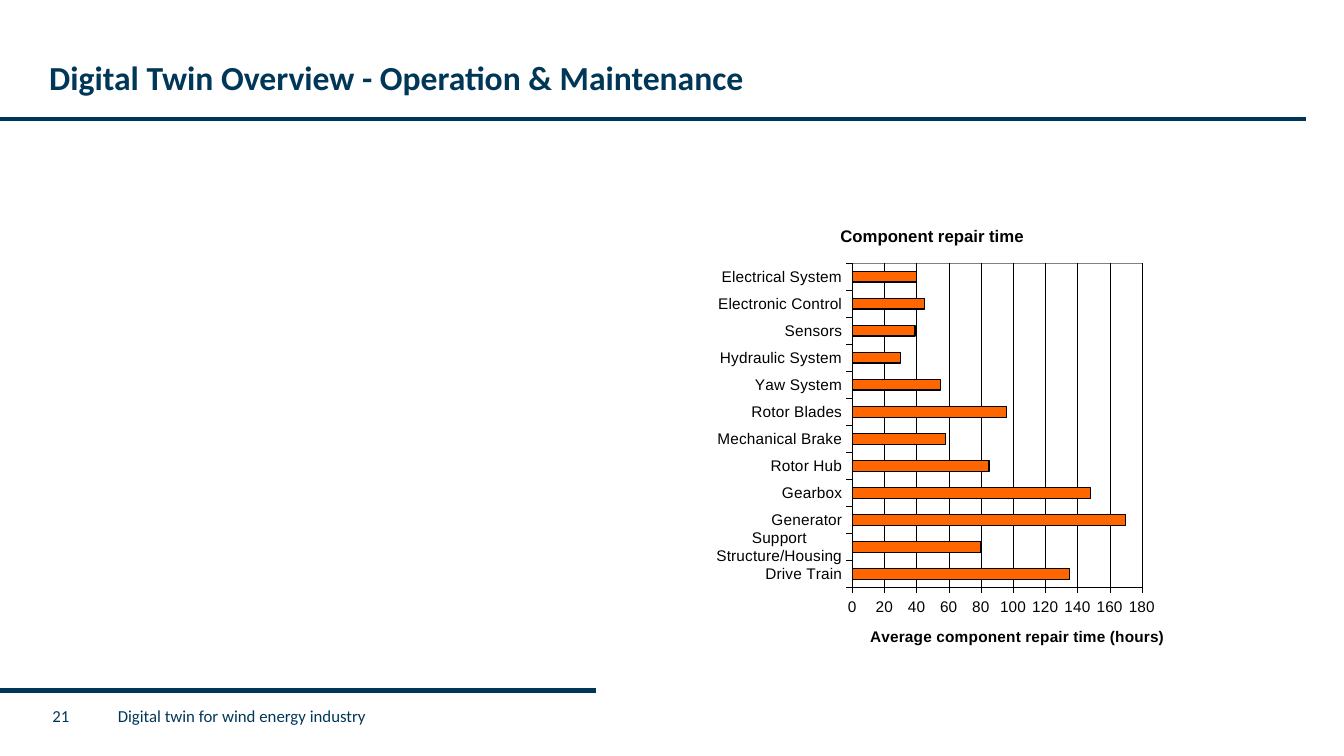
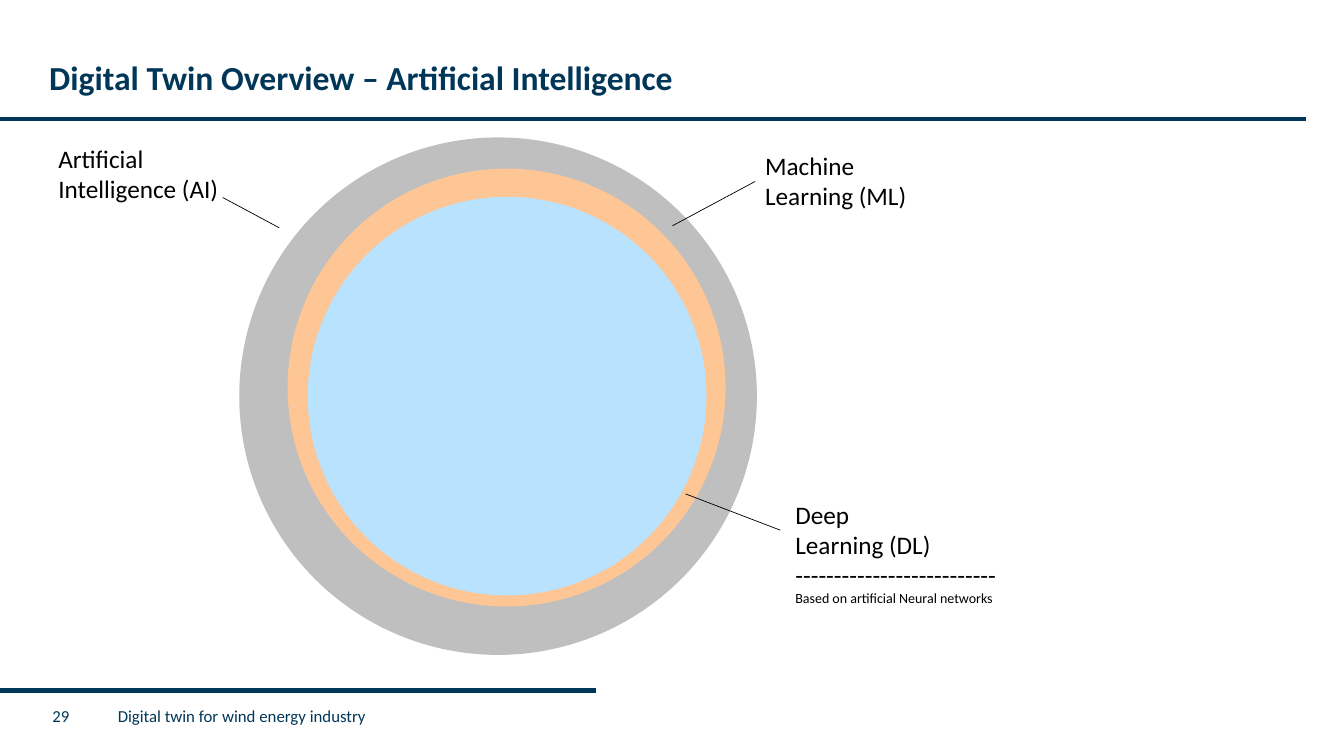
from lxml import etree
from pptx import Presentation
from pptx.chart.data import CategoryChartData
from pptx.dml.color import RGBColor
from pptx.enum.chart import XL_CHART_TYPE, XL_TICK_MARK
from pptx.enum.shapes import MSO_CONNECTOR, MSO_SHAPE
from pptx.enum.text import MSO_ANCHOR
from pptx.oxml import parse_xml
from pptx.oxml.ns import nsdecls, qn
from pptx.util import Inches, Pt

# Shared style
NAVY, BLACK, WHITE = "003759", "000000", "FFFFFF"
FOOTER = "Digital twin for wind energy industry"
RULES = [(5.91, 6.85), (12.95, 1.18)]  # right end, height

# Slide 1: component and repair hours, bottom to top
REPAIR = [
    ("Drive Train", 135), ("Support Structure/Housing", 80),
    ("Generator", 170), ("Gearbox", 148), ("Rotor Hub", 85),
    ("Mechanical Brake", 58), ("Rotor Blades", 96), ("Yaw System", 55),
    ("Hydraulic System", 30), ("Sensors", 39),
    ("Electronic Control", 45), ("Electrical System", 40),
]

# Slide 2: nested discs (left, top, diameter, colour)
DISCS = [
    (2.38, 1.37, 5.12, "BFBFBF"),
    (2.86, 1.68, 4.33, "FEC695"),
    (3.06, 1.96, 3.94, "B9E2FF"),
]
# Labels: box, then lines of (text, size)
LABELS = [
    ((0.48, 1.37, 1.81, 0.71), [("Artificial", 18), ("Intelligence (AI)", 18)]),
    ((7.49, 1.44, 1.62, 0.71), [("Machine", 18), ("Learning (ML)", 18)]),
    ((7.79, 4.9, 2.19, 1.18), [("Deep", 18), ("Learning (DL)", 18), ("-" * 26, 18),
                               ("Based on artificial Neural networks", 10)]),
]
LEADERS = [
    (6.67, 2.24, 7.49, 1.8),
    (6.8, 4.9, 7.74, 5.26),
    (2.21, 1.96, 2.77, 2.26),
]


def rgb(code):
    return RGBColor.from_string(code)


def style(font, size, color, bold=False, name="Calibri"):
    font.size, font.bold, font.name = Pt(size), bold, name
    font.color.rgb = rgb(color)


def stroke(line, color, width):
    line.color.rgb = rgb(color)
    line.width = Pt(width)


def add_line(slide, ends, color, width):
    line = slide.shapes.add_connector(
        MSO_CONNECTOR.STRAIGHT, *[Inches(v) for v in ends])
    stroke(line.line, color, width)
    etree.SubElement(line._element.spPr, qn("a:effectLst"))


def add_text(slide, box, lines, color, bold=False, wrap=True):
    frame = slide.shapes.add_textbox(*[Inches(v) for v in box]).text_frame
    frame.word_wrap = wrap
    frame.text = "\n".join(text for text, size in lines)
    for para, (text, size) in zip(frame.paragraphs, lines):
        style(para.runs[0].font, size, color, bold)
    return frame


def add_slide(deck, title, number):
    slide = deck.slides.add_slide(deck.slide_layouts[6])
    for right, y in RULES:
        add_line(slide, (0, y, right, y), NAVY, 3)
    frame = add_text(slide, (0.39, 0.4, 10.6, 0.77), [(title, 24)], NAVY, True)
    frame.vertical_anchor = MSO_ANCHOR.MIDDLE
    frame.paragraphs[0].line_spacing = 0.9
    add_text(slide, (1.07, 6.95, 4.79, 0.4), [(FOOTER, 12)], NAVY)
    add_text(slide, (0.42, 6.95, 0.52, 0.4), [(number, 12)], NAVY)
    return slide


def layout(x, y, size=None):
    """Manual chart layout, in fractions of the chart."""
    parts = [("xMode", "edge"), ("yMode", "edge"), ("x", x), ("y", y)]
    if size:
        parts.insert(0, ("layoutTarget", "inner"))
        parts += zip("wh", size)
    body = "".join(f'<c:{tag} val="{val}"/>' for tag, val in parts)
    return parse_xml(f'<c:layout {nsdecls("c")}><c:manualLayout>{body}'
                     "</c:manualLayout></c:layout>")


def drop_layout(node):
    for old in node.findall(qn("c:layout")):
        node.remove(old)


def set_title(title, text, size, x, y):
    title.text_frame.text = text
    style(title.text_frame.paragraphs[0].runs[0].font, size, BLACK, True, "Arial")
    node = title._element
    drop_layout(node)
    node.find(qn("c:tx")).addnext(layout(x, y))


def add_bars(slide):
    data = CategoryChartData()
    data.categories = [name for name, hours in REPAIR]
    data.add_series("Series 1", [hours for name, hours in REPAIR])
    chart = slide.shapes.add_chart(
        XL_CHART_TYPE.BAR_CLUSTERED, Inches(6.62), Inches(2.03),
        Inches(4.96), Inches(4.47), data).chart
    chart.has_legend = False
    style(chart.font, 11, BLACK, name="Arial")
    chart.has_title = True
    set_title(chart.chart_title, "Component repair time", 12, 0.34, 0.04)

    # Axes
    hours = chart.value_axis
    for axis in (chart.category_axis, hours):
        axis.major_tick_mark = XL_TICK_MARK.OUTSIDE
        axis.minor_tick_mark = XL_TICK_MARK.NONE
        style(axis.tick_labels.font, 11, BLACK, name="Arial")
        stroke(axis.format.line, BLACK, 0.25)
    hours.minimum_scale, hours.maximum_scale, hours.major_unit = 0, 180, 20
    hours.has_major_gridlines = True
    stroke(hours.major_gridlines.format.line, BLACK, 0.25)
    set_title(hours.axis_title, "Average component repair time (hours)", 11, 0.4, 0.93)

    # Bars
    plot = chart.plots[0]
    plot.gap_width, plot.vary_by_categories = 150, False
    bars = plot.series[0].format
    bars.fill.solid()
    bars.fill.fore_color.rgb = rgb("FF6600")
    stroke(bars.line, BLACK, 1)

    # Plot area
    area = chart._chartSpace.chart.plotArea
    drop_layout(area)
    area.insert(0, layout(0.37, 0.13, (0.58, 0.72)))
    area.append(parse_xml(
        f'<c:spPr {nsdecls("c", "a")}><a:solidFill><a:srgbClr val="{WHITE}"/></a:solidFill>'
        '<a:ln w="6350"><a:solidFill><a:srgbClr val="808080"/></a:solidFill></a:ln></c:spPr>'))


def add_discs(slide):
    for left, top, size, color in DISCS:
        disc = slide.shapes.add_shape(
            MSO_SHAPE.OVAL, Inches(left), Inches(top), Inches(size), Inches(size))
        disc.shadow.inherit = False
        disc.fill.solid()
        disc.fill.fore_color.rgb = rgb(color)
        stroke(disc.line, color, 1)
    for box, lines in LABELS:
        add_text(slide, box, lines, BLACK, wrap=False)
    for ends in LEADERS:
        add_line(slide, ends, BLACK, 0.5)


def main():
    deck = Presentation()
    deck.slide_width, deck.slide_height = Inches(13.33), Inches(7.5)
    add_bars(add_slide(deck, "Digital Twin Overview - Operation & Maintenance", "21"))
    add_discs(add_slide(deck, "Digital Twin Overview – Artificial Intelligence", "29"))
    deck.save("out.pptx")


if __name__ == "__main__":
    main()
